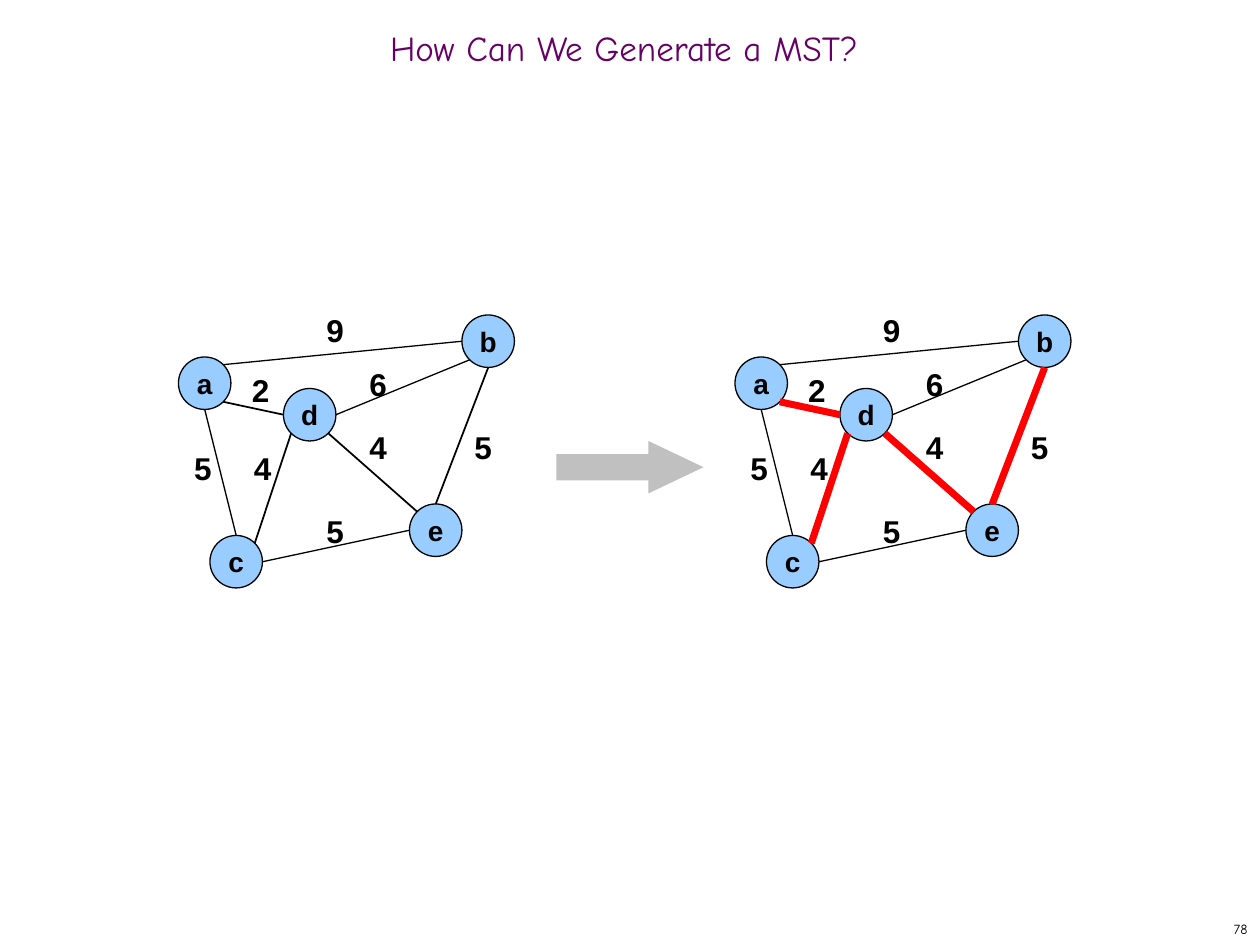
from math import sqrt

from lxml.etree import SubElement
from pptx import Presentation
from pptx.dml.color import RGBColor
from pptx.enum.shapes import MSO_CONNECTOR, MSO_SHAPE
from pptx.enum.text import MSO_ANCHOR, MSO_AUTO_SIZE, PP_ALIGN
from pptx.oxml.ns import qn
from pptx.util import Pt

PX = 7620
WIDTH, HEIGHT = 1200, 900
NODE = 50
BLACK = RGBColor(0x00, 0x00, 0x00)
PURPLE = RGBColor(0x66, 0x00, 0x66)
BLUE = RGBColor(0x99, 0xCC, 0xFF)
RED = RGBColor(0xFF, 0x00, 0x00)
GREY = RGBColor(0xC0, 0xC0, 0xC0)

NODES = {"a": (0, 50), "c": (30, 220), "e": (220, 190), "d": (100, 80), "b": (270, 10)}

DIAGONAL = 1 / sqrt(2)
SITES = {
    "top": (0, 0, -1),
    "top left": (1, -DIAGONAL, -DIAGONAL),
    "left": (2, -1, 0),
    "bottom left": (3, -DIAGONAL, DIAGONAL),
    "bottom": (4, 0, 1),
    "bottom right": (5, DIAGONAL, DIAGONAL),
    "right": (6, 1, 0),
    "top right": (7, DIAGONAL, -DIAGONAL),
}

# start, site, end, site, weight, label position, in tree
EDGES = [
    ("a", "top right", "b", "left", "9", (129, 0), False),
    ("d", "right", "b", "bottom left", "6", (170, 52), False),
    ("a", "bottom", "c", "top", "5", (3, 132), False),
    ("a", "bottom right", "d", "left", "2", (58, 57), True),
    ("c", "top right", "d", "bottom left", "4", (60, 132), True),
    ("d", "bottom right", "e", "top left", "4", (170, 112), True),
    ("b", "bottom", "e", "top", "5", (270, 112), True),
    ("e", "left", "c", "right", "5", (129, 192), False),
]


def box(*lengths):
    return [round(n * PX) for n in lengths]


def write(sp, text, size, font="Arial", color=BLACK, bold=False, wrap=False,
          align=PP_ALIGN.LEFT, anchor=MSO_ANCHOR.MIDDLE, spacing=None,
          auto_size=MSO_AUTO_SIZE.NONE):
    tf = sp.text_frame
    tf.word_wrap = wrap
    tf.auto_size = auto_size
    tf.vertical_anchor = anchor
    p = tf.paragraphs[0]
    p.alignment = align
    p.line_spacing = spacing
    r = p.add_run()
    r.text = text
    r.font.size = Pt(size)
    r.font.name = font
    r.font.bold = bold
    r.font.color.rgb = color


def add_title(s, text, x, y, w, h):
    sp = s.shapes.title
    sp.left, sp.top, sp.width, sp.height = box(x, y, w, h)
    write(sp, text, 20, font="Comic Neue", color=PURPLE, wrap=True,
          align=PP_ALIGN.CENTER, spacing=0.7)


def add_page_number(s, text, x, y, w, h):
    sp = s.shapes.add_textbox(*box(x, y, w, h))
    write(sp, text, 8, font="Comic Neue", align=PP_ALIGN.RIGHT)


def add_node(shapes, name, x, y):
    sp = shapes.add_shape(MSO_SHAPE.OVAL, *box(x, y, NODE, NODE))
    sp.shadow.inherit = False
    sp.fill.solid()
    sp.fill.fore_color.rgb = BLUE
    sp.line.color.rgb = BLACK
    sp.line.width = Pt(0.75)
    write(sp, name, 16, bold=True, align=PP_ALIGN.CENTER)
    return sp


def site_point(sp, site):
    _, dx, dy = SITES[site]
    radius = sp.width / 2
    return round(sp.left + radius * (1 + dx)), round(sp.top + radius * (1 + dy))


def add_edge(shapes, start, start_site, end, end_site, color, width):
    line = shapes.add_connector(MSO_CONNECTOR.STRAIGHT, *site_point(start, start_site),
                                *site_point(end, end_site))
    line.line.color.rgb = color
    line.line.width = Pt(width)
    SubElement(line._element.spPr, qn("a:effectLst"))
    joints = line._element.nvCxnSpPr.cNvCxnSpPr
    for tag, sp, site in (("a:stCxn", start, start_site), ("a:endCxn", end, end_site)):
        SubElement(joints, qn(tag), id=str(sp.shape_id), idx=str(SITES[site][0]))


def add_graph(s, x, y, tree_color, tree_width):
    shapes = s.shapes.add_group_shape().shapes
    nodes = {name: add_node(shapes, name, x + dx, y + dy) for name, (dx, dy) in NODES.items()}
    for start, start_site, end, end_site, _, _, in_tree in EDGES:
        color, width = (tree_color, tree_width) if in_tree else (BLACK, 0.75)
        add_edge(shapes, nodes[start], start_site, nodes[end], end_site, color, width)
    for *_, weight, (dx, dy), _ in EDGES:
        sp = shapes.add_textbox(*box(x + dx, y + dy, 41, 48))
        write(sp, weight, 18, bold=True, anchor=MSO_ANCHOR.TOP,
              auto_size=MSO_AUTO_SIZE.SHAPE_TO_FIT_TEXT)


def add_arrow(s, x, y, w, h):
    sp = s.shapes.add_shape(MSO_SHAPE.RIGHT_ARROW, *box(x, y, w, h))
    sp.adjustments[0] = 0.5
    sp.adjustments[1] = 1.05
    sp.shadow.inherit = False
    sp.fill.solid()
    sp.fill.fore_color.rgb = GREY
    sp.line.fill.background()


def main():
    prs = Presentation()
    prs.slide_width, prs.slide_height = box(WIDTH, HEIGHT)
    s = prs.slides.add_slide(prs.slide_layouts[5])
    add_page_number(s, "78", 950, 870, 250, 30)
    add_title(s, "How Can We Generate a MST? ", 0, 20, WIDTH, 60)
    add_graph(s, 170, 290, BLACK, 1)
    add_graph(s, 700, 290, RED, 4)
    add_arrow(s, 530, 420, 140, 50)
    prs.save("out.pptx")


if __name__ == "__main__":
    main()
